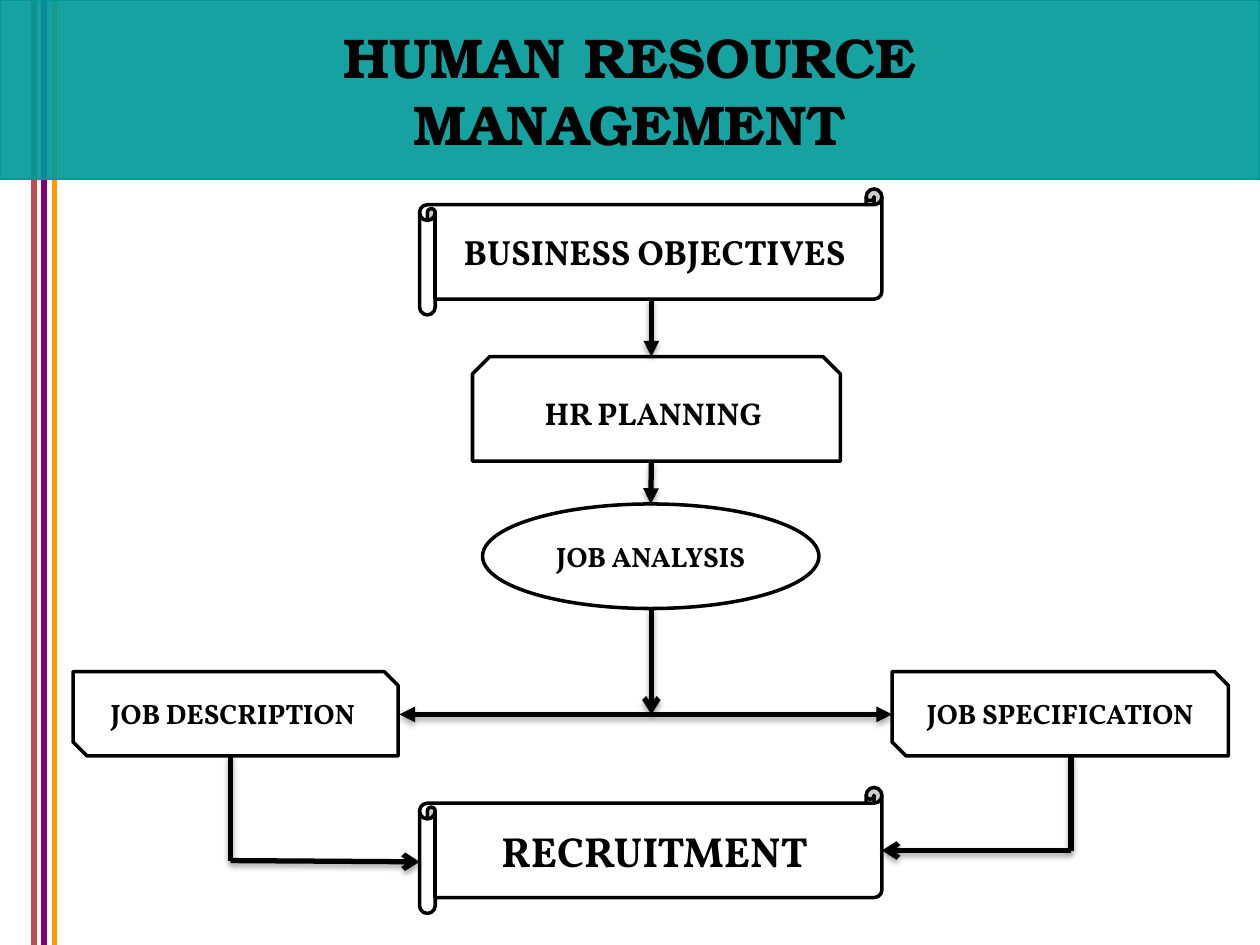
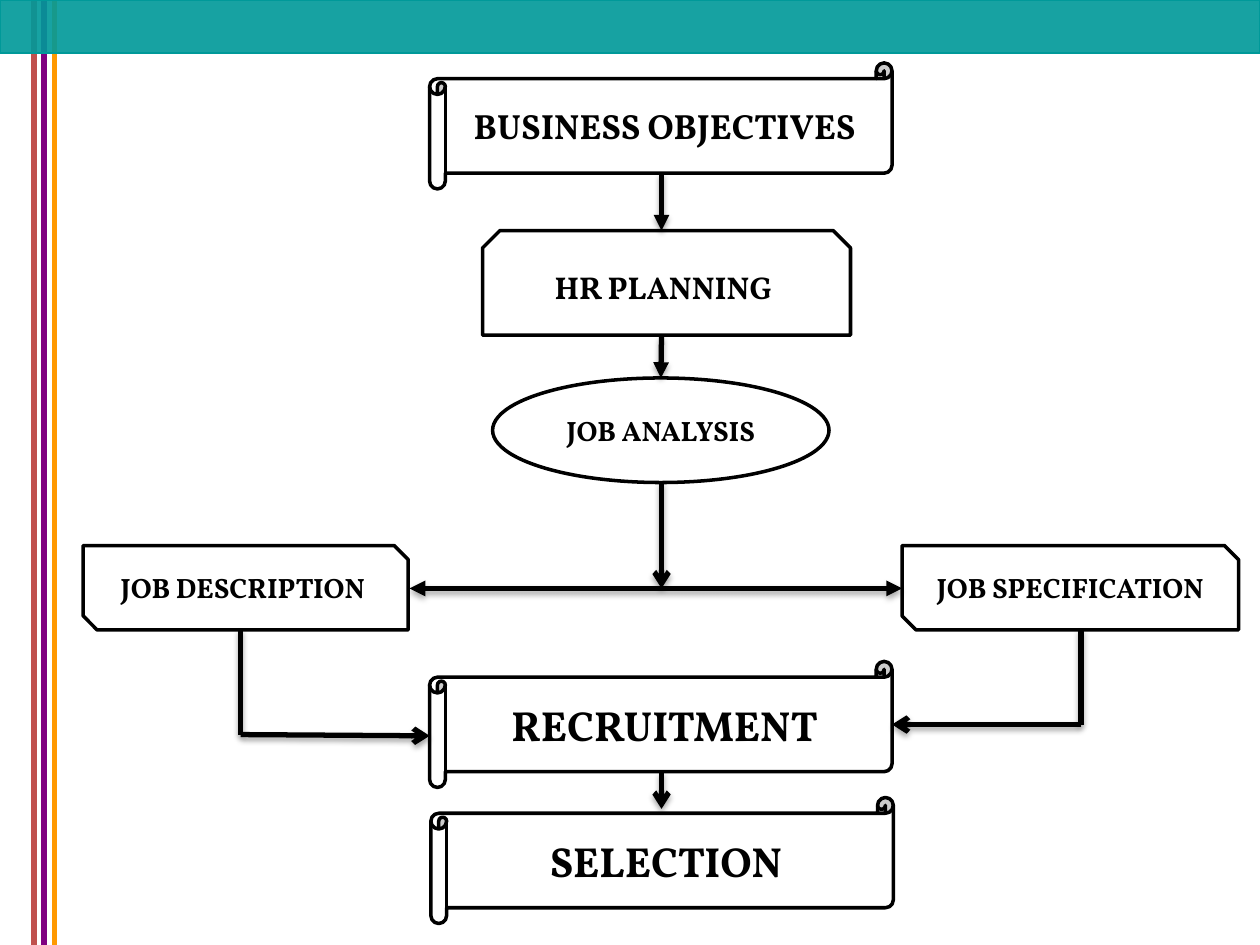
from lxml.etree import SubElement
from pptx import Presentation
from pptx.dml.color import RGBColor
from pptx.enum.shapes import MSO_CONNECTOR, MSO_SHAPE
from pptx.enum.text import MSO_ANCHOR, PP_ALIGN
from pptx.oxml.ns import qn
from pptx.util import Inches, Pt

# Shared look
BLACK, WHITE, TEAL = "000000", "FFFFFF", "009999"
TITLE_FONT, BOX_FONT = "TeX Gyre Bonum", "Vollkorn"
PAGE_WIDTH, PAGE_HEIGHT = 10, 7.5
STRIPES = [(0.27, "C0504D"), (0.35, "800080"), (0.43, "FF9900")]
SCROLL_SIZE = (3.67, 1)

# Boxes of the flow: preset, left, top, width, height, size of text
FLOW_BOXES = {
    "BUSINESS OBJECTIVES": (MSO_SHAPE.HORIZONTAL_SCROLL, 3.33, 1.5, *SCROLL_SIZE, 20),
    "HR PLANNING ": (MSO_SHAPE.SNIP_2_SAME_RECTANGLE, 3.75, 2.83, 2.92, 0.83, 18),
    "JOB ANALYSIS": (MSO_SHAPE.OVAL, 3.83, 4, 2.67, 0.83, 16),
    "JOB DESCRIPTION ": (MSO_SHAPE.SNIP_2_DIAG_RECTANGLE, 0.58, 5.33, 2.58, 0.67, 16),
    "JOB SPECIFICATION": (MSO_SHAPE.SNIP_2_DIAG_RECTANGLE, 7.08, 5.33, 2.67, 0.67, 16),
    "RECRUITMENT": (MSO_SHAPE.HORIZONTAL_SCROLL, 3.33, 6.25, *SCROLL_SIZE, 24),
}


def color(hex_text):
    return RGBColor.from_string(hex_text)


def add_line(page, start, end, line_color):
    line = page.shapes.add_connector(
        MSO_CONNECTOR.STRAIGHT, *[Inches(value) for value in (*start, *end)])
    line.line.color.rgb = color(line_color)
    line.line.width = Pt(3)
    SubElement(line._element.spPr, qn("a:effectLst"))
    return line


def add_flow_line(page, start, end, tail=None, head=None):
    """Black line with a soft shadow and optional arrowheads."""
    line = add_line(page, start, end, BLACK)
    outline = line.line._get_or_add_ln()
    for tag, arrow in (("a:headEnd", head), ("a:tailEnd", tail)):
        if arrow:
            SubElement(outline, qn(tag), type=arrow)
    effects = line._element.spPr.find(qn("a:effectLst"))
    shadow = SubElement(effects, qn("a:outerShdw"), blurRad="40000", dist="23000",
                        dir="5400000", rotWithShape="0")
    shade = SubElement(shadow, qn("a:srgbClr"), val=BLACK)
    SubElement(shade, qn("a:alpha"), val="35000")
    return line


def add_box(page, preset, left, top, width, height, fill, outline, line_width):
    box = page.shapes.add_shape(
        preset, *[Inches(value) for value in (left, top, width, height)])
    box.shadow.inherit = False
    box.fill.solid()
    box.fill.fore_color.rgb = color(fill)
    box.line.color.rgb = color(outline)
    box.line.width = Pt(line_width)
    return box


def set_text(box, text, font, size, wrap=True):
    frame = box.text_frame
    frame.text = text
    frame.word_wrap = wrap
    frame.vertical_anchor = MSO_ANCHOR.MIDDLE
    for para in frame.paragraphs:
        para.alignment = PP_ALIGN.CENTER
        for span in para.runs:
            span.font.name = font
            span.font.size = Pt(size)
            span.font.bold = True
            span.font.color.rgb = color(BLACK)


def add_flow_box(page, text, preset, left, top, width, height, size):
    box = add_box(page, preset, left, top, width, height, WHITE, BLACK, 2)
    set_text(box, text, BOX_FONT, size)
    return box


def add_page(deck, band_height):
    """Blank page with the side stripes and the top band; returns both."""
    page = deck.slides.add_slide(deck.slide_layouts[6])
    for x, stripe_color in STRIPES:
        add_line(page, (x, 0), (x, PAGE_HEIGHT), stripe_color)
    band = add_box(page, MSO_SHAPE.RECTANGLE, 0, 0, PAGE_WIDTH, band_height,
                   TEAL, TEAL, 0.75)
    band_color = band.fill._xPr.find(qn("a:solidFill"))[0]
    SubElement(band_color, qn("a:alpha"), val="91000")
    return page, band


def add_flow(page, right=0, down=0):
    """The whole flow from objectives to recruitment, moved as one."""
    def at(x, y):
        return x + right, y + down

    boxes = {}
    for text, (preset, left, top, width, height, size) in FLOW_BOXES.items():
        boxes[text] = add_flow_box(page, text, preset, *at(left, top), width, height, size)

    # Down the middle
    add_flow_line(page, at(5.17, 2.38), at(5.17, 2.83), "triangle")
    to_analysis = add_flow_line(page, at(5.17, 3.67), at(5.17, 4), "triangle")
    to_analysis.end_connect(boxes["JOB ANALYSIS"], 0)
    add_flow_line(page, at(5.17, 4.83), at(5.17, 5.67), "arrow")

    # Out to description and specification
    add_flow_line(page, at(3.17, 5.67), at(7.08, 5.67), "triangle", "triangle")

    # Back in to recruitment
    add_flow_line(page, at(1.83, 6), at(1.83, 6.83))
    add_flow_line(page, at(1.83, 6.83), at(3.33, 6.84), "arrow")
    add_flow_line(page, at(8.5, 6), at(8.5, 6.75))
    to_recruitment = add_flow_line(page, at(8.5, 6.75), at(7, 6.75), "arrow")
    to_recruitment.end_connect(boxes["RECRUITMENT"], 3)


def main():
    deck = Presentation()
    deck.slide_width, deck.slide_height = Inches(PAGE_WIDTH), Inches(PAGE_HEIGHT)

    # Slide 1: flow up to recruitment
    page, band = add_page(deck, 1.42)
    set_text(band, "HUMAN RESOURCE\nMANAGEMENT", TITLE_FONT, 32, wrap=False)
    add_flow(page)

    # Slide 2: the same flow, carried on to selection
    page, band = add_page(deck, 0.42)
    add_flow(page, right=0.08, down=-1)
    add_flow_box(page, "SELECTION", MSO_SHAPE.HORIZONTAL_SCROLL, 3.42, 6.33, *SCROLL_SIZE, 24)
    add_flow_line(page, (5.25, 6.13), (5.25, 6.42), "arrow")

    deck.save("out.pptx")


if __name__ == "__main__":
    main()
